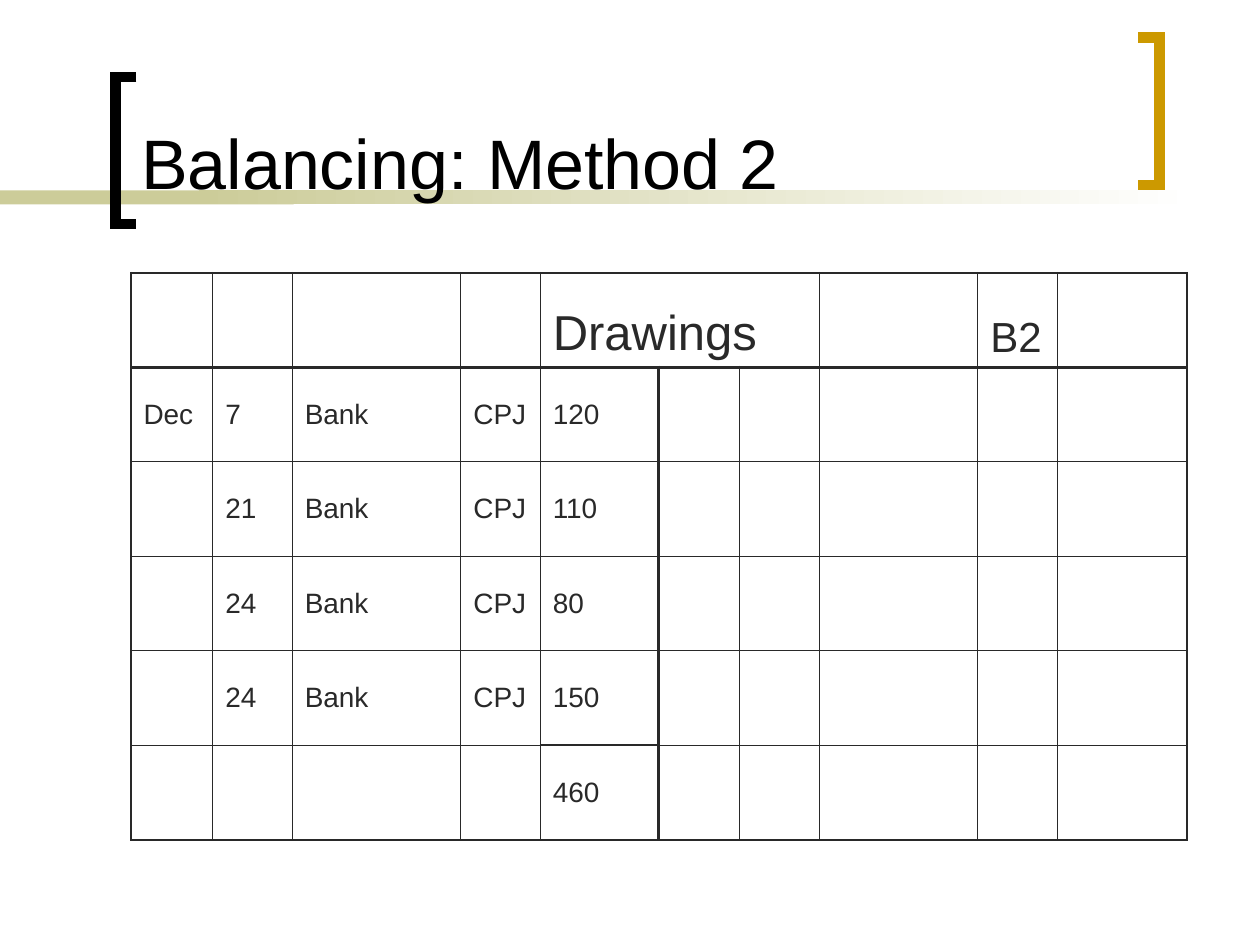
from lxml import etree
from pptx import Presentation
from pptx.dml.color import RGBColor
from pptx.enum.shapes import MSO_SHAPE
from pptx.enum.text import MSO_ANCHOR, MSO_AUTO_SIZE, PP_ALIGN
from pptx.oxml.ns import qn
from pptx.util import Cm, Pt

RECT = MSO_SHAPE.RECTANGLE
BOTTOM, MIDDLE = MSO_ANCHOR.BOTTOM, MSO_ANCHOR.MIDDLE
LEFT = PP_ALIGN.LEFT
NO_FIT = MSO_AUTO_SIZE.NONE

COLORS = {"paper": "FFFFFF", "band": "CCCC99", "black": "000000",
          "gold": "CC9900", "ink": "292929"}
THIN, OUTER, TOTAL, HEAVY = 0.45, 1.08, 1.47, 2.21
AMOUNT = 4
COLS = [1.65, 1.6, 3.4, 1.6, 2.39, 1.63, 1.6, 3.2, 1.6, 2.62]
ROW_H = 11.43 / 6
ENTRIES = [
    ["", "", "", "", "Drawings", "", "", "", "B2"],
    ["Dec", "7", "Bank", "CPJ", "120"],
    ["", "21", "Bank", "CPJ", "110"],
    ["", "24", "Bank", "CPJ", "80"],
    ["", "24", "Bank", "CPJ", "150"],
    ["", "", "", "", "460"],
]


def rgb(name):
    return RGBColor.from_string(COLORS[name])


def vertical_width(row, edge):
    if edge in (0, len(COLS)):
        return OUTER
    return HEAVY if edge == AMOUNT + 1 and row > 0 else THIN


def horizontal_width(edge, col):
    last = len(ENTRIES)
    if col == AMOUNT and edge >= last - 1:
        return TOTAL
    if edge in (0, last):
        return OUTER
    return HEAVY if edge == 1 else THIN


class Deck:
    font = "Arial"

    def __init__(self):
        self.prs = Presentation()
        self.prs.slide_width, self.prs.slide_height = Cm(25.4), Cm(19.05)
        self.s = self.prs.slides.add_slide(self.prs.slide_layouts[5])
        self.s.background.fill.solid()
        self.s.background.fill.fore_color.rgb = rgb("paper")

    def format(self, p, size, color):
        p.alignment = LEFT
        p.font.name = self.font
        p.font.size = Pt(size)
        p.font.color.rgb = rgb(color)

    def band(self, x, y, w, h, color, fade=None):
        sp = self.s.shapes.add_shape(RECT, Cm(x), Cm(y), Cm(w), Cm(h))
        sp.shadow.inherit = False
        sp.line.fill.background()
        if fade:
            sp.fill.gradient()
            sp.fill.gradient_angle = 180
            for stop, name in zip(sp.fill.gradient_stops, (fade, color)):
                stop.color.rgb = rgb(name)
        else:
            sp.fill.solid()
            sp.fill.fore_color.rgb = rgb(color)

    def bracket(self, tip, spine, top, height, color):
        bottom = top + height
        builder = self.s.shapes.build_freeform(Cm(tip), Cm(top))
        corners = [(spine, top), (spine, bottom), (tip, bottom)]
        builder.add_line_segments([(Cm(x), Cm(y)) for x, y in corners], close=False)
        sp = builder.convert_to_shape()
        sp.shadow.inherit = False
        sp.fill.background()
        sp.line.color.rgb = rgb(color)
        sp.line.width = Pt(6)
        etree.SubElement(sp.line._get_or_add_ln(), qn("a:miter"), lim="800000")

    def title(self, text, x, y, w, h):
        sp = self.s.shapes.title
        sp.left, sp.top, sp.width, sp.height = Cm(x), Cm(y), Cm(w), Cm(h)
        tf = sp.text_frame
        tf.text = text
        tf.auto_size = NO_FIT
        tf.vertical_anchor = BOTTOM
        self.format(tf.paragraphs[0], 40, "black")
        self.s.shapes._spTree.append(sp._element)

    def borders(self, cell, widths):
        tc_pr = cell._tc.get_or_add_tcPr()
        for i, (side, width) in enumerate(zip("LRTB", widths)):
            ln = etree.Element(qn(f"a:ln{side}"), w=str(Pt(width)))
            fill = etree.SubElement(ln, qn("a:solidFill"))
            etree.SubElement(fill, qn("a:srgbClr"), val=COLORS["ink"])
            tc_pr.insert(i, ln)

    def ledger(self, x, y):
        frame = self.s.shapes.add_table(len(ENTRIES), len(COLS), Cm(x), Cm(y),
                                        Cm(sum(COLS)), Cm(ROW_H * len(ENTRIES)))
        table = frame.table
        table.first_row = table.horz_banding = False
        for column, width in zip(table.columns, COLS):
            column.width = Cm(width)
        table.cell(0, AMOUNT).merge(table.cell(0, AMOUNT + 2))
        for r, entry in enumerate(ENTRIES):
            for c in range(len(COLS)):
                cell = table.cell(r, c)
                cell.fill.background()
                if cell.is_spanned:
                    continue
                self.borders(cell, (vertical_width(r, c), vertical_width(r, c + 1),
                                    horizontal_width(r, c), horizontal_width(r + 1, c)))
                if c < len(entry) and entry[c]:
                    cell.text = entry[c]
                    cell.vertical_anchor = MIDDLE if r else BOTTOM
                    size = {"Drawings": 28, "B2": 24}.get(entry[c], 16)
                    self.format(cell.text_frame.paragraphs[0], size, "ink")


def main():
    deck = Deck()
    deck.band(0, 3.84, 5.92, 0.28, "band")
    deck.band(4.01, 3.84, 20.12, 0.28, "band", fade="paper")
    deck.bracket(2.75, 2.33, 1.55, 2.97, "black")
    deck.bracket(22.95, 23.38, 0.76, 2.97, "gold")
    deck.title("Balancing: Method 2", 2.59, 0.28, 19.89, 3.94)
    deck.ledger(2.64, 5.5)
    deck.prs.save("out.pptx")


if __name__ == "__main__":
    main()
